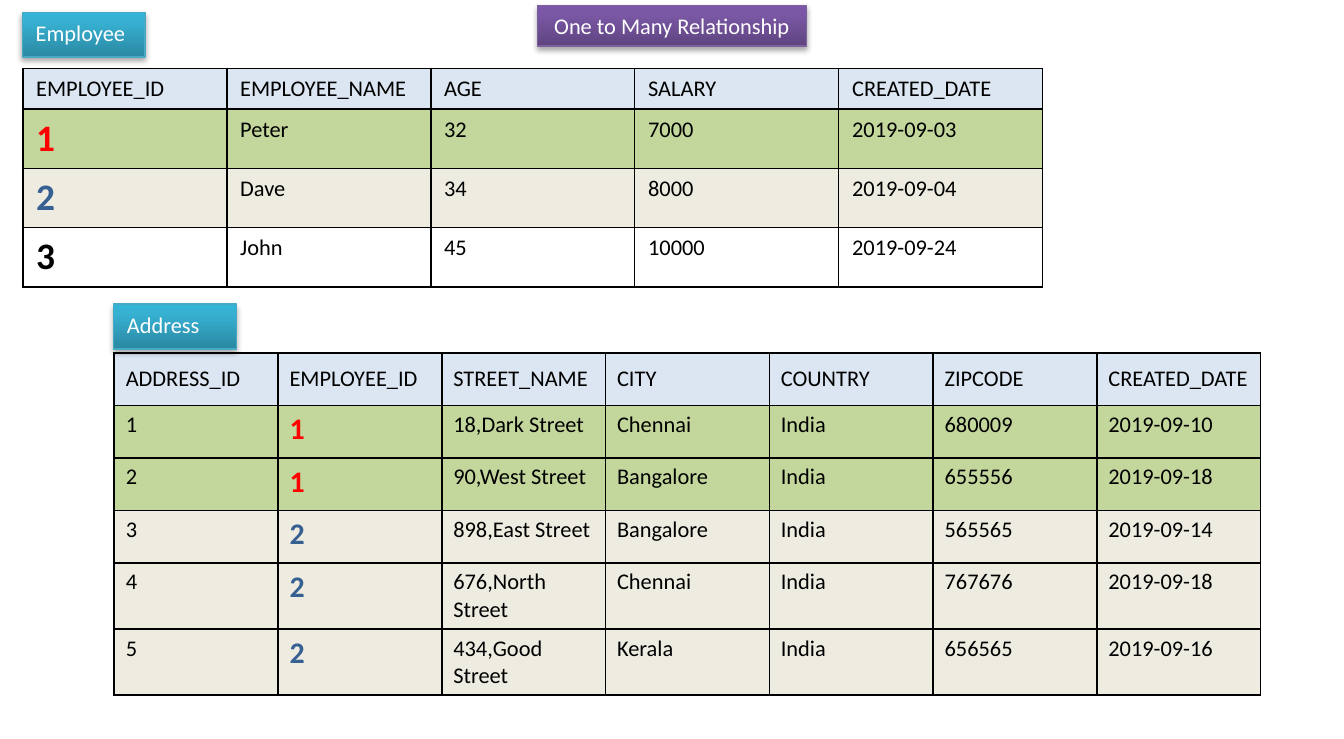
from lxml.etree import SubElement
from pptx import Presentation
from pptx.dml.color import RGBColor
from pptx.enum.shapes import MSO_SHAPE
from pptx.enum.text import MSO_ANCHOR, PP_ALIGN
from pptx.oxml import parse_xml
from pptx.oxml.ns import nsdecls, qn
from pptx.util import Pt

FONT = "Calibri"
COLORS = {
    "black": "000000",
    "white": "FFFFFF",
    "header": "DCE6F2",
    "teal_line": "46AAC5",
    "purple_line": "7D60A0",
}
GRADIENTS = {
    "teal": ("2A88A2", "37B1D2", "34B4D6"),
    "purple": ("5F4480", "7B58A6", "7C57A8"),
}
# Row fill and key colour for each employee id
ROW_FILLS = {"1": "C3D69B", "2": "EEECE1", "3": "FFFFFF"}
KEY_COLORS = {"1": "FF0000", "2": "376092", "3": "000000"}

EMPLOYEES = [
    ("EMPLOYEE_ID", "EMPLOYEE_NAME", "AGE", "SALARY", "CREATED_DATE"),
    ("1", "Peter", "32", "7000", "2019-09-03"),
    ("2", "Dave", "34", "8000", "2019-09-04"),
    ("3", "John", "45", "10000", "2019-09-24"),
]
ADDRESSES = [
    ("ADDRESS_ID", "EMPLOYEE_ID", "STREET_NAME", "CITY", "COUNTRY", "ZIPCODE", "CREATED_DATE"),
    ("1", "1", "18,Dark Street", "Chennai", "India", "680009", "2019-09-10"),
    ("2", "1", "90,West Street", "Bangalore", "India", "655556", "2019-09-18"),
    ("3", "2", "898,East Street", "Bangalore", "India", "565565", "2019-09-14"),
    ("4", "2", "676,North Street", "Chennai", "India", "767676", "2019-09-18"),
    ("5", "2", "434,Good Street", "Kerala", "India", "656565", "2019-09-16"),
]


def style_paragraph(paragraph, color, size=12, bold=False):
    font = paragraph.font
    font.name = FONT
    font.size = Pt(size)
    font.bold = bold
    font.color.rgb = RGBColor.from_string(color)


def add_gradient_and_shadow(shape, gradient):
    properties = shape._element.spPr
    stops = "".join(
        f'<a:gs pos="{position}"><a:srgbClr val="{color}"/></a:gs>'
        for position, color in zip((0, 80000, 100000), GRADIENTS[gradient])
    )
    properties.find(qn("a:prstGeom")).addnext(parse_xml(
        f'<a:gradFill {nsdecls("a")} rotWithShape="1"><a:gsLst>{stops}</a:gsLst>'
        '<a:lin ang="16200000" scaled="0"/></a:gradFill>'
    ))
    properties.append(parse_xml(
        f'<a:effectLst {nsdecls("a")}><a:outerShdw blurRad="{Pt(3.1)}" dist="{Pt(1.8)}" '
        f'dir="5400000" rotWithShape="0"><a:srgbClr val="{COLORS["black"]}">'
        '<a:alpha val="35000"/></a:srgbClr></a:outerShdw></a:effectLst>'
    ))


def add_label(slide, text, left, top, width, height, gradient="teal", align=PP_ALIGN.LEFT):
    shape = slide.shapes.add_shape(
        MSO_SHAPE.RECTANGLE, Pt(left), Pt(top), Pt(width), Pt(height))
    shape.line.color.rgb = RGBColor.from_string(COLORS[f"{gradient}_line"])
    shape.line.width = Pt(0.75)
    add_gradient_and_shadow(shape, gradient)
    frame = shape.text_frame
    frame.word_wrap = True
    frame.vertical_anchor = MSO_ANCHOR.TOP
    paragraph = frame.paragraphs[0]
    paragraph.text = text
    paragraph.alignment = align
    style_paragraph(paragraph, COLORS["white"])


def add_borders(cell):
    properties = cell._tc.get_or_add_tcPr()
    for index, side in enumerate(("lnL", "lnR", "lnT", "lnB")):
        line = parse_xml(f'<a:{side} {nsdecls("a")} w="{Pt(1)}"/>')
        fill = SubElement(line, qn("a:solidFill"))
        SubElement(fill, qn("a:srgbClr"), val=COLORS["black"])
        properties.insert(index, line)


def add_data_table(slide, records, left, top, column_width, row_heights,
                   key_column, key_size, margins):
    column_count = len(records[0])
    table = slide.shapes.add_table(
        len(records), column_count, Pt(left), Pt(top),
        Pt(column_width * column_count), Pt(sum(row_heights))).table
    table.first_row = False
    table.horz_banding = False
    for column in table.columns:
        column.width = Pt(column_width)

    for row_index, record in enumerate(records):
        table.rows[row_index].height = Pt(row_heights[row_index])
        is_header = row_index == 0
        key = record[key_column]
        for column_index, text in enumerate(record):
            cell = table.cell(row_index, column_index)
            cell.fill.solid()
            cell.fill.fore_color.rgb = RGBColor.from_string(
                COLORS["header"] if is_header else ROW_FILLS[key])
            cell.margin_left = cell.margin_right = Pt(margins[0])
            cell.margin_top = cell.margin_bottom = Pt(margins[1])
            cell.vertical_anchor = MSO_ANCHOR.MIDDLE if is_header else MSO_ANCHOR.TOP
            add_borders(cell)
            paragraph = cell.text_frame.paragraphs[0]
            paragraph.text = text
            if column_index == key_column and not is_header:
                style_paragraph(paragraph, KEY_COLORS[key], key_size, bold=True)
            else:
                style_paragraph(paragraph, COLORS["black"])


def main():
    presentation = Presentation()
    presentation.slide_width = Pt(720)
    presentation.slide_height = Pt(396)
    slide = presentation.slides.add_slide(presentation.slide_layouts[6])

    # Title
    add_label(slide, "One to Many Relationship", 288, 2.9, 144, 21.8,
              gradient="purple", align=PP_ALIGN.CENTER)

    # Employee table
    add_label(slide, "Employee", 12, 6.6, 65.8, 24)
    add_data_table(slide, EMPLOYEES, 12.2, 36.7, 109.3, [21.8] + [31.2] * 3,
                   key_column=0, key_size=20, margins=(7.2, 3.6))

    # Address table
    add_data_table(slide, ADDRESSES, 61.2, 189.2, 87.75, [28.1] * 4 + [35.1] * 2,
                   key_column=1, key_size=16, margins=(6.2, 3.1))
    add_label(slide, "Address", 60.9, 163, 65.8, 24)

    presentation.save("out.pptx")


if __name__ == "__main__":
    main()
